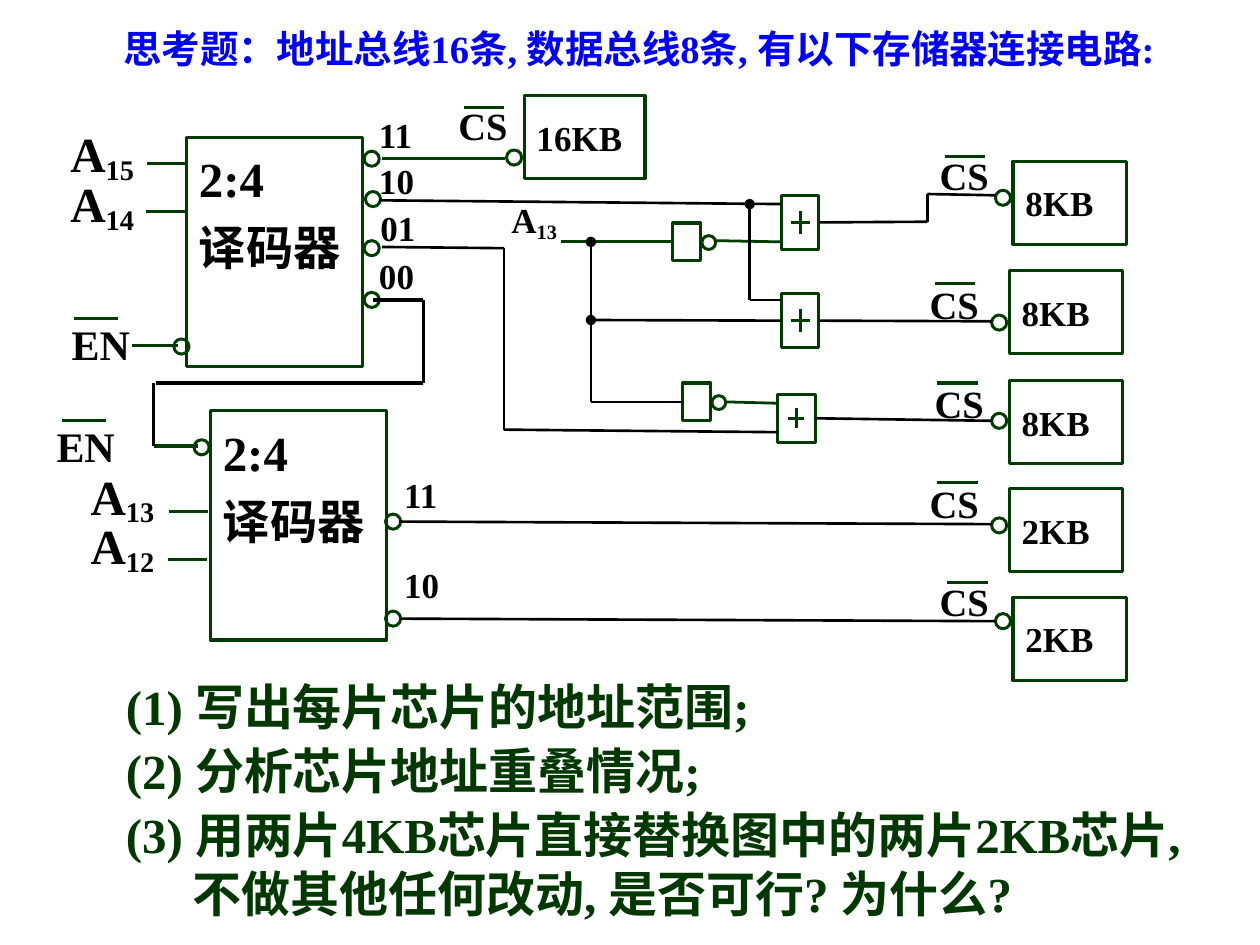
"""Build the memory decoding exercise slide."""
from lxml import etree
from pptx import Presentation
from pptx.dml.color import RGBColor
from pptx.enum.shapes import MSO_CONNECTOR, MSO_SHAPE
from pptx.enum.text import MSO_ANCHOR, PP_ALIGN
from pptx.oxml.ns import qn
from pptx.util import Inches, Pt

STRAIGHT = MSO_CONNECTOR.STRAIGHT
RECT, OVAL = MSO_SHAPE.RECTANGLE, MSO_SHAPE.OVAL
TOP, MIDDLE = MSO_ANCHOR.TOP, MSO_ANCHOR.MIDDLE
LEFT = PP_ALIGN.LEFT
FONT = "Times New Roman"
COLORS = {"ink": "000000", "green": "003C00", "blue": "0000FF", "dark": "003800"}
LEFT_SIDE, RIGHT_SIDE = 1, 3


def color(name):
    """Return the named colour."""
    return RGBColor.from_string(COLORS[name])


def style(font, size, name="ink"):
    """Set the common bold face on a font."""
    font.name, font.size, font.bold = FONT, Pt(size), True
    font.color.rgb = color(name)


def write(frame, lines, size, name="ink", anchor=TOP):
    """Fill a text frame with one paragraph per line."""
    frame.word_wrap = True
    frame.vertical_anchor = anchor
    frame.text = "\n".join(lines)
    for par in frame.paragraphs:
        par.alignment = LEFT
        for run in par.runs:
            style(run.font, size, name)


def label(slide, text, x, y, w, h, size, sub=""):
    """Add a short label with an optional subscript."""
    frame = slide.shapes.add_textbox(Inches(x), Inches(y), Inches(w), Inches(h)).text_frame
    write(frame, [text], size)
    if sub:
        run = frame.paragraphs[0].add_run()
        run.text = sub
        style(run.font, size)
        run.font._element.set("baseline", "-16000")


def prose(slide, lines, box, size, name, indent, gap=0):
    """Add wrapped paragraphs with a hanging indent."""
    frame = slide.shapes.add_textbox(*map(Inches, box)).text_frame
    write(frame, lines, size, name)
    for i, par in enumerate(frame.paragraphs):
        props = par._p.get_or_add_pPr()
        props.set("marL", str(Inches(indent)))
        props.set("indent", str(-Inches(indent)))
        if i:
            par.space_before = Pt(gap)


def outline(slide, kind, x, y, w, h, width=1.75):
    """Add an unfilled green outline."""
    shape = slide.shapes.add_shape(kind, Inches(x), Inches(y), Inches(w), Inches(h))
    shape.shadow.inherit = False
    shape.fill.background()
    shape.line.color.rgb = color("green")
    shape.line.width = Pt(width)
    return shape


def bubble(slide, x, y, size=0.12):
    """Add an inversion circle."""
    outline(slide, OVAL, x, y, size, size, 1.7)


def wire(slide, start, end, name="green", width=1.75, dot=False):
    """Add a straight line, with a junction dot at its start if asked."""
    line = slide.shapes.add_connector(STRAIGHT, *map(Inches, start + end))
    line.line.color.rgb = color(name)
    line.line.width = Pt(width)
    if dot:
        etree.SubElement(line.line._get_or_add_ln(), qn("a:headEnd"), type="oval")
    etree.SubElement(line._element.spPr, qn("a:effectLst"))
    return line


def route(slide, points, width=1.5, dot=False):
    """Add black wires through the points and return them."""
    pairs = zip(points, points[1:])
    return [wire(slide, a, b, "ink", width, dot and i == 0) for i, (a, b) in enumerate(pairs)]


def bar(slide, x, y, w):
    """Add the overline of an active-low name."""
    wire(slide, (x, y), (x + w, y))


def decoder(slide, x, y):
    """Add a 2:4 decoder block."""
    frame = outline(slide, RECT, x, y, 1.4, 1.82).text_frame
    write(frame, ["2:4", "译码器"], 28, "ink")
    frame.margin_top = Inches(0.09)
    last = frame.paragraphs[1]
    last.line_spacing, last.space_before = 1.15, Pt(1.4)
    last.runs[0].font.size = Pt(27)


def enable(slide, x, y, over):
    """Add an EN label with its overline."""
    label(slide, "EN", x, y, 0.81, 0.5, 24)
    bar(slide, x + over, y + 0.05, 0.35)


def chip(slide, text, x, y, w, pin, cs, over):
    """Add a memory chip with its select pin, label and overline."""
    box = outline(slide, RECT, x, y, w, 0.66)
    write(box.text_frame, [text], 20, "ink", MIDDLE)
    bubble(slide, x - 0.14, pin)
    label(slide, "CS", *cs, 0.75, 0.47, 22)
    bar(slide, *over, 0.32)


def gate(slide, x, y, h, across, down):
    """Add an OR gate marked with a plus."""
    box = outline(slide, RECT, x, y, 0.3, h)
    mx, my = x + 0.15, y + h / 2
    wire(slide, (mx - across / 2, my), (mx + across / 2, my))
    wire(slide, (mx, my - down / 2), (mx, my + down / 2))
    return box


def inverter(slide, x, y):
    """Add an inverter with its output circle."""
    box = outline(slide, RECT, x, y, 0.22, 0.3)
    bubble(slide, x + 0.23, y + 0.1, 0.11)
    return box


def decoders(slide):
    """Draw both decoders with their inputs and outputs."""
    decoder(slide, 1.48, 1.09)
    decoder(slide, 1.67, 3.26)
    enable(slide, 0.47, 2.48, 0.12)
    enable(slide, 0.35, 3.29, 0.14)
    for sub, x, y in (("15", 0.46, 0.93), ("14", 0.46, 1.33), ("13", 0.62, 3.65), ("12", 0.62, 4.04)):
        label(slide, "A", x, y, 0.78, 0.57, 28, sub)
    for x, y, w in ((1.17, 1.3, 0.31), (1.16, 1.68, 0.32), (1.05, 2.74, 0.36),
                    (1.34, 4.06, 0.31), (1.33, 4.44, 0.31), (1.22, 3.54, 0.35)):
        bar(slide, x, y, w)
    for text, x, y in (("11", 2.91, 0.85), ("10", 2.91, 1.22), ("01", 2.92, 1.59),
                       ("00", 2.91, 1.97), ("11", 3.11, 3.71), ("10", 3.11, 4.42)):
        label(slide, text, x, y, 0.63, 0.43, 20)
    for x, y in ((2.89, 1.2), (2.9, 1.52), (2.89, 1.91), (2.89, 2.32),
                 (3.06, 4.08), (3.06, 4.85), (1.38, 2.69), (1.54, 3.49)):
        bubble(slide, x, y)


def chips(slide):
    """Draw the six memory chips."""
    for row in (("16KB", 4.16, 0.76, 0.96, 1.19, (3.54, 0.76), (3.68, 0.85)),
                ("8KB", 8.04, 1.28, 0.9, 1.51, (7.36, 1.16), (7.5, 1.24)),
                ("8KB", 8.01, 2.15, 0.9, 2.5, (7.28, 2.18), (7.42, 2.25)),
                ("8KB", 8.01, 3.02, 0.9, 3.28, (7.32, 2.97), (7.44, 3.04)),
                ("2KB", 8.01, 3.88, 0.9, 4.11, (7.28, 3.76), (7.44, 3.83)),
                ("2KB", 8.04, 4.74, 0.9, 4.87, (7.36, 4.54), (7.52, 4.62))):
        chip(slide, *row)


def logic(slide):
    """Draw the gates and the wiring between decoders and chips."""
    upper = gate(slide, 6.2, 1.55, 0.43, 0.15, 0.18)
    middle = gate(slide, 6.2, 2.33, 0.43, 0.15, 0.18)
    lower = gate(slide, 6.17, 3.13, 0.38, 0.13, 0.16)
    first, second = inverter(slide, 5.34, 1.77), inverter(slide, 5.42, 3.04)
    label(slide, "A", 3.96, 1.53, 0.78, 0.44, 20, "13")

    wire(slide, (3.03, 1.26), (4.01, 1.26))
    wire(slide, (4.45, 1.92), (5.34, 1.92)).end_connect(first, LEFT_SIDE)
    wire(slide, (5.68, 1.91), (6.2, 1.92), width=1.6)
    wire(slide, (5.77, 3.19), (6.16, 3.2), width=1.6)

    route(slide, [(2.96, 2.38), (3.36, 2.38), (3.36, 3.04), (1.24, 3.04)], 2)
    route(slide, [(1.22, 3.04), (1.22, 3.54)], 2)
    route(slide, [(3.01, 1.59), (6.2, 1.62)])
    route(slide, [(5.95, 1.62), (5.95, 2.38), (6.2, 2.38)], dot=True)
    route(slide, [(3.03, 1.96), (4, 1.97), (4, 3.41), (6.17, 3.43)])
    down = route(slide, [(4.69, 1.92), (4.69, 3.19), (5.42, 3.19)], dot=True)
    down[-1].end_connect(second, LEFT_SIDE)
    across = route(slide, [(4.69, 2.54), (6.2, 2.55)], dot=True)
    across[0].end_connect(middle, LEFT_SIDE)
    for box, points in ((upper, [(6.5, 1.76), (7.36, 1.76), (7.36, 1.54), (7.9, 1.55)]),
                        (middle, [(6.5, 2.55), (7.87, 2.55)]),
                        (lower, [(6.47, 3.32), (7.87, 3.34)])):
        route(slide, points)[0].begin_connect(box, RIGHT_SIDE)
    route(slide, [(3.17, 4.14), (7.87, 4.16)])
    route(slide, [(3.18, 4.91), (7.9, 4.93)])


def main():
    """Build and save the slide."""
    deck = Presentation()
    deck.slide_width, deck.slide_height = Inches(10), Inches(7.5)
    slide = deck.slides.add_slide(deck.slide_layouts[6])
    prose(slide, ["思考题：地址总线16条, 数据总线8条, 有以下存储器连接电路:"],
          (0.88, 0.15, 8.64, 0.47), 22, "blue", 0.34)
    decoders(slide)
    chips(slide)
    logic(slide)
    prose(slide, ["(1) 写出每片芯片的地址范围;", "(2) 分析芯片地址重叠情况;",
                  "(3) 用两片4KB芯片直接替换图中的两片2KB芯片, 不做其他任何改动, 是否可行? 为什么?"],
          (0.9, 5.32, 8.69, 2.06), 28, "dark", 0.53, 3)
    deck.save("out.pptx")


if __name__ == "__main__":
    main()
